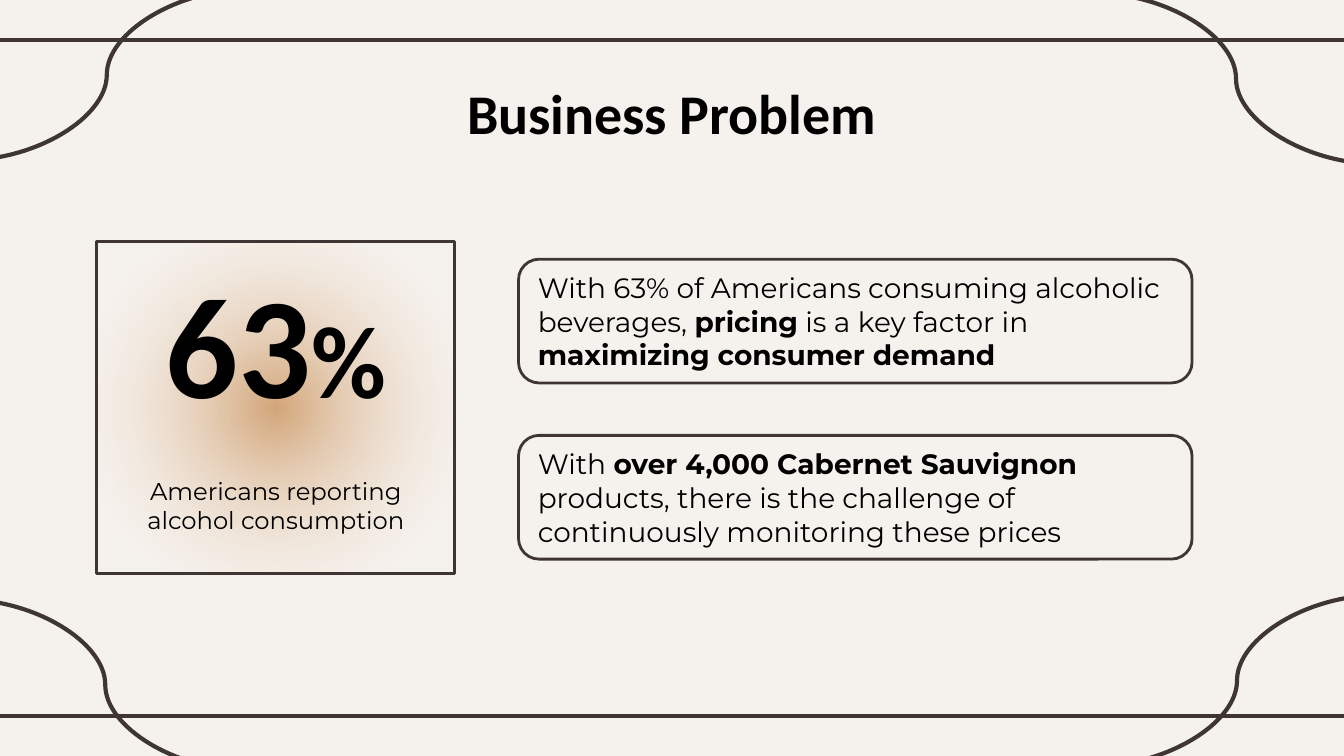
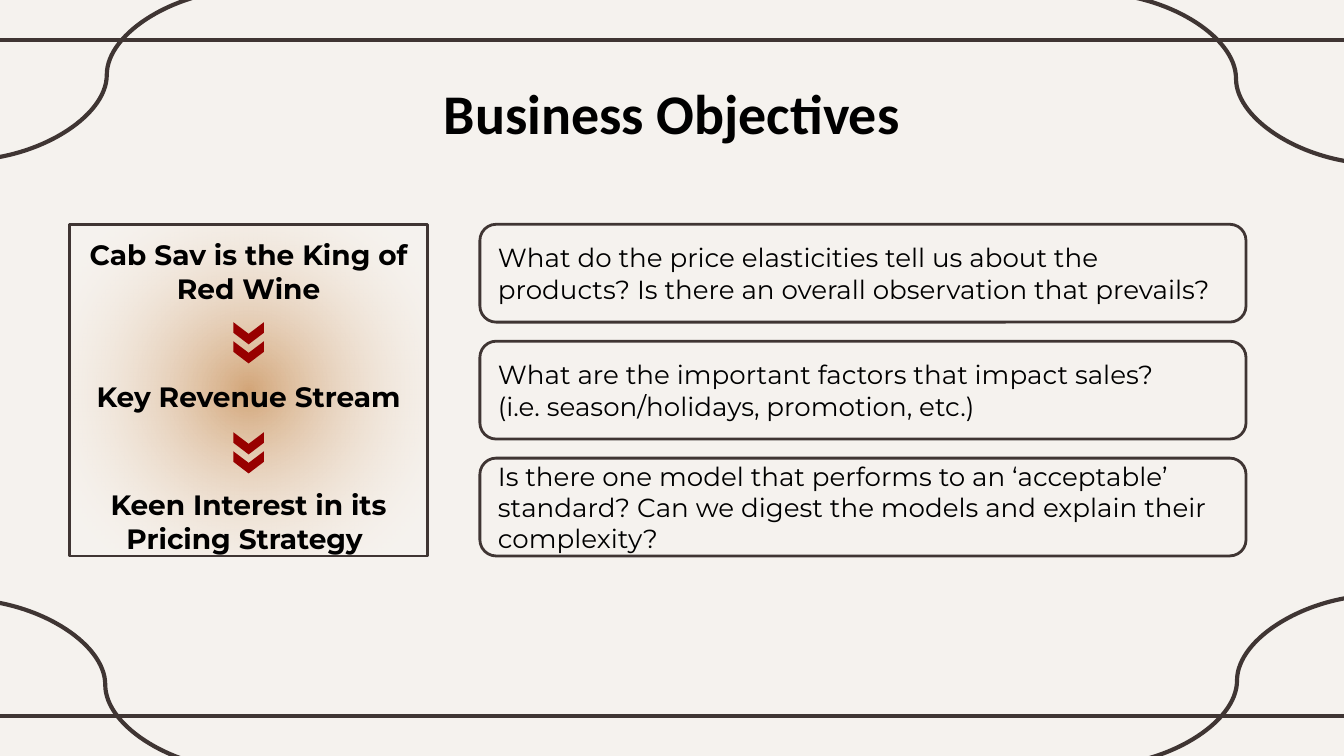
from dataclasses import dataclass

from pptx import Presentation
from pptx.dml.color import RGBColor
from pptx.enum.shapes import MSO_CONNECTOR, MSO_SHAPE
from pptx.enum.text import MSO_ANCHOR, MSO_AUTO_SIZE, PP_ALIGN
from pptx.oxml import parse_xml
from pptx.oxml.ns import nsdecls, qn
from pptx.util import Cm, Pt


@dataclass(frozen=True)
class Theme:
    background: str = "F5F2EE"
    outline: str = "3F3533"
    glow: str = "D3A679"
    glow_edge: str = "FFFFFF"
    arrow: str = "980000"
    text: str = "000000"
    heading_font: str = "Calibri"
    body_font: str = "Montserrat"
    title_size: int = 30
    figure_size: int = 77
    unit_size: int = 55
    caption_size: int = 13
    statement_size: int = 15
    question_size: int = 14
    frame_width: float = 2.25
    box_width: float = 1.5


THEME = Theme()
SLIDE_WIDTH, SLIDE_HEIGHT = 25.4, 14.29
CARD_WIDTH, CARD_HEIGHT = 6.76, 6.27
INSET = 0.25


def set_values(target, values):
    for name, value in values.items():
        setattr(target, name, value)


def color(value):
    return RGBColor.from_string(value)


def style_line(shape, width):
    shape.line.color.rgb = color(THEME.outline)
    shape.line.width = Pt(width)


def style_frame(text_frame, anchor):
    set_values(text_frame, {
        "word_wrap": True, "auto_size": MSO_AUTO_SIZE.NONE, "vertical_anchor": anchor,
        "margin_left": Cm(INSET), "margin_right": Cm(INSET),
        "margin_top": Cm(INSET), "margin_bottom": Cm(INSET),
    })


def add_run(paragraph, text, font, size, bold=False):
    run = paragraph.add_run()
    run.text = text
    set_values(run.font, {"name": font, "size": Pt(size), "bold": bold})
    run.font.color.rgb = color(THEME.text)


def add_marked_text(paragraph, text, size):
    """Write text in which ** switches bold on and off and a newline breaks the line."""
    for index, part in enumerate(text.split("**")):
        for line_index, line in enumerate(part.split("\n")):
            if line_index:
                paragraph.add_line_break()
            if line:
                add_run(paragraph, line, THEME.body_font, size, bold=index % 2 == 1)


def add_box(slide, preset, left, top, width, height, anchor):
    shape = slide.shapes.add_shape(preset, Cm(left), Cm(top), Cm(width), Cm(height))
    shape.shadow.inherit = False
    shape.fill.background()
    style_line(shape, THEME.box_width)
    style_frame(shape.text_frame, anchor)
    return shape


def add_frame_line(slide, layout, kind, left, top, right, bottom):
    """Draw a frame line and hand it over to the layout, so that all slides share it."""
    line = slide.shapes.add_connector(kind, Cm(left), Cm(top), Cm(right), Cm(bottom))
    style_line(line, THEME.frame_width)
    line._element.spPr.append(parse_xml(f"<a:effectLst {nsdecls('a')}/>"))
    layout.shapes._spTree.append(line._element)


def decorate_layout(slide, layout):
    layout.background.fill.solid()
    layout.background.fill.fore_color.rgb = color(THEME.background)
    for placeholder in list(layout.placeholders)[1:]:
        layout.shapes._spTree.remove(placeholder._element)
    for y in (0.76, 13.54):
        add_frame_line(slide, layout, MSO_CONNECTOR.STRAIGHT, -0.2, y, SLIDE_WIDTH + 0.2, y)
    curve_width, curve_height = 5.36, 3.23
    for x, y, direction in ((-0.69, 11.33, 1), (20.68, -0.13, 1),
                            (26.06, 11.25, -1), (4.7, -0.2, -1)):
        add_frame_line(slide, layout, MSO_CONNECTOR.CURVE, x, y,
                       x + direction * curve_width, y + curve_height)


def set_title(slide, text, width):
    title = slide.shapes.title
    set_values(title, {"left": Cm((SLIDE_WIDTH - width) / 2), "top": Cm(1.24),
                       "width": Cm(width), "height": Cm(1.6)})
    style_frame(title.text_frame, MSO_ANCHOR.TOP)
    paragraph = title.text_frame.paragraphs[0]
    paragraph.alignment = PP_ALIGN.CENTER
    add_run(paragraph, text, THEME.heading_font, THEME.title_size, bold=True)


def add_glow_card(slide, left, top):
    card = add_box(slide, MSO_SHAPE.RECTANGLE, left, top, CARD_WIDTH, CARD_HEIGHT,
                   MSO_ANCHOR.TOP)
    properties = card._element.spPr
    properties.replace(properties.find(qn("a:noFill")), parse_xml(
        f'<a:gradFill {nsdecls("a")} rotWithShape="1"><a:gsLst>'
        f'<a:gs pos="0"><a:srgbClr val="{THEME.glow}"/></a:gs>'
        f'<a:gs pos="100000"><a:srgbClr val="{THEME.glow_edge}"><a:alpha val="0"/></a:srgbClr></a:gs>'
        '</a:gsLst><a:path path="circle">'
        '<a:fillToRect l="50000" t="50000" r="50000" b="50000"/></a:path></a:gradFill>'))
    return card


def add_figure_card(slide, left, top):
    text_frame = add_glow_card(slide, left, top).text_frame
    figure, caption = text_frame.paragraphs[0], text_frame.add_paragraph()
    figure.alignment = caption.alignment = PP_ALIGN.CENTER
    caption.space_before = Pt(26)
    add_run(figure, "63", THEME.heading_font, THEME.figure_size, bold=True)
    add_run(figure, "%", THEME.heading_font, THEME.unit_size, bold=True)
    add_run(caption, "Americans reporting alcohol consumption", THEME.body_font,
            THEME.caption_size)


def add_double_chevron(slide, center, top):
    half_width, drop, thickness, step = 0.29, 0.22, 0.2, 0.36
    chevrons = []
    for y in (top, top + step):
        outline = [(center - half_width, y), (center, y + drop), (center + half_width, y),
                   (center + half_width, y + thickness), (center, y + drop + thickness),
                   (center - half_width, y + thickness)]
        points = [(Cm(x), Cm(point_y)) for x, point_y in outline]
        builder = slide.shapes.build_freeform(*points[0])
        builder.add_line_segments(points[1:], close=True)
        chevron = builder.convert_to_shape()
        chevron.shadow.inherit = False
        chevron.fill.solid()
        chevron.fill.fore_color.rgb = color(THEME.arrow)
        chevron.line.fill.background()
        chevrons.append(chevron)
    slide.shapes.add_group_shape(chevrons)


def add_reason_card(slide, left, top, reasons):
    text_frame = add_glow_card(slide, left, top).text_frame
    for index, reason in enumerate(reasons):
        paragraph = text_frame.add_paragraph() if index else text_frame.paragraphs[0]
        paragraph.alignment = PP_ALIGN.CENTER
        if index:
            paragraph.space_before = Pt(40)
        add_run(paragraph, reason, THEME.body_font, THEME.statement_size, bold=True)
    for offset in (1.85, 3.93):
        add_double_chevron(slide, left + CARD_WIDTH / 2, top + offset)


def add_text_stack(slide, box, step, texts, size):
    """Stack rounded boxes downwards; box is the left, top, width and height of the first."""
    left, top, width, height = box
    for index, text in enumerate(texts):
        shape = add_box(slide, MSO_SHAPE.ROUNDED_RECTANGLE, left, top + index * step,
                        width, height, MSO_ANCHOR.MIDDLE)
        paragraph = shape.text_frame.paragraphs[0]
        paragraph.alignment = PP_ALIGN.LEFT
        add_marked_text(paragraph, text, size)


def build_problem_slide(slide):
    set_title(slide, "Business Problem", 8.71)
    add_figure_card(slide, 1.83, 4.57)
    add_text_stack(slide, (9.8, 4.9, 12.73, 2.34), 3.33, (
        "With 63% of Americans consuming alcoholic beverages, **pricing** is a key factor in "
        "**maximizing consumer demand**",
        "With **over 4,000 Cabernet Sauvignon** products, there is the challenge of "
        "continuously monitoring these prices",
    ), THEME.statement_size)


def build_objectives_slide(slide):
    set_title(slide, "Business Objectives", 10.01)
    add_reason_card(slide, 1.32, 4.24, (
        "Cab Sav is the King of Red Wine",
        "Key Revenue Stream",
        "Keen Interest in its Pricing Strategy ",
    ))
    add_text_stack(slide, (9.07, 4.24, 14.48, 1.85), 2.21, (
        "What do the price elasticities tell us about the products? "
        "Is there an overall observation that prevails?",
        "What are the important factors that impact sales?\n"
        "(i.e. season/holidays, promotion, etc.)",
        "Is there one model that performs to an ‘acceptable’ standard? "
        "Can we digest the models and explain their complexity?",
    ), THEME.question_size)


def main():
    presentation = Presentation()
    set_values(presentation, {"slide_width": Cm(SLIDE_WIDTH), "slide_height": Cm(SLIDE_HEIGHT)})
    layout = presentation.slide_layouts.get_by_name("Title Only")
    problem, objectives = (presentation.slides.add_slide(layout) for _ in range(2))
    decorate_layout(problem, layout)
    build_problem_slide(problem)
    build_objectives_slide(objectives)
    presentation.save("out.pptx")


if __name__ == "__main__":
    main()
